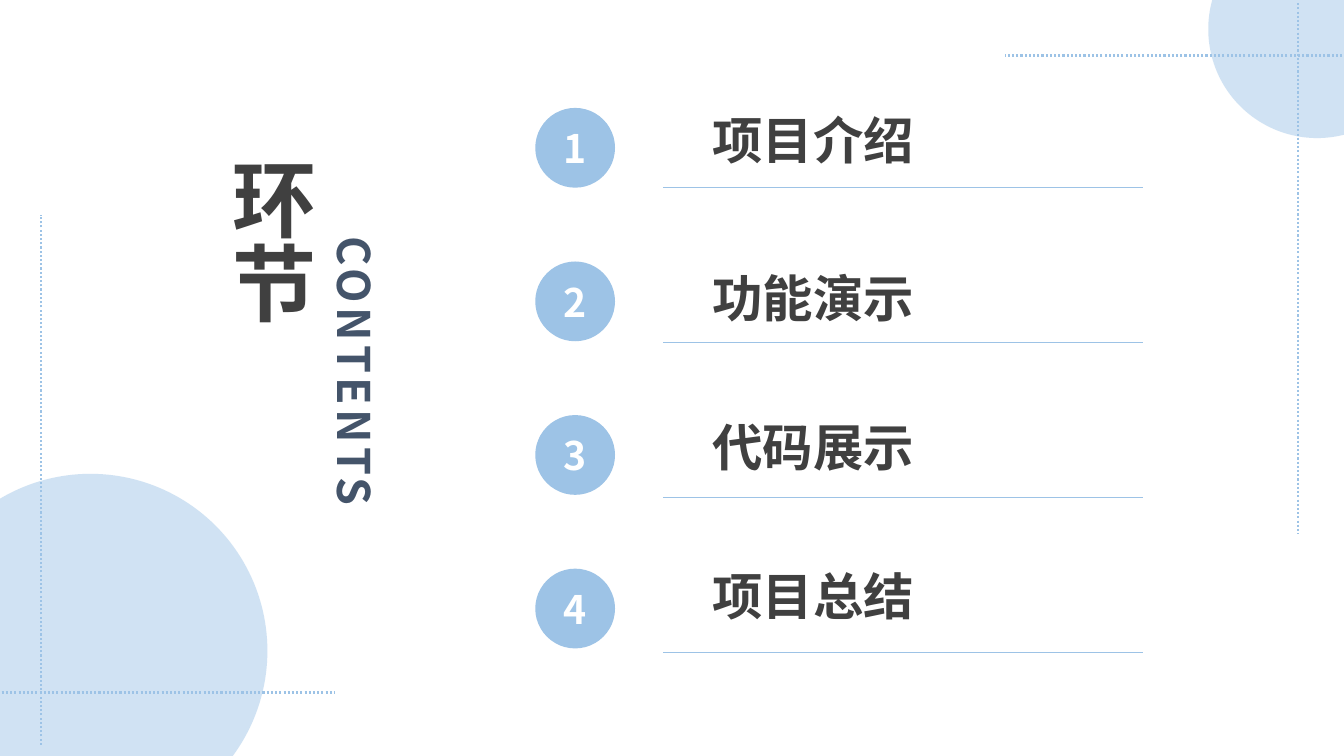
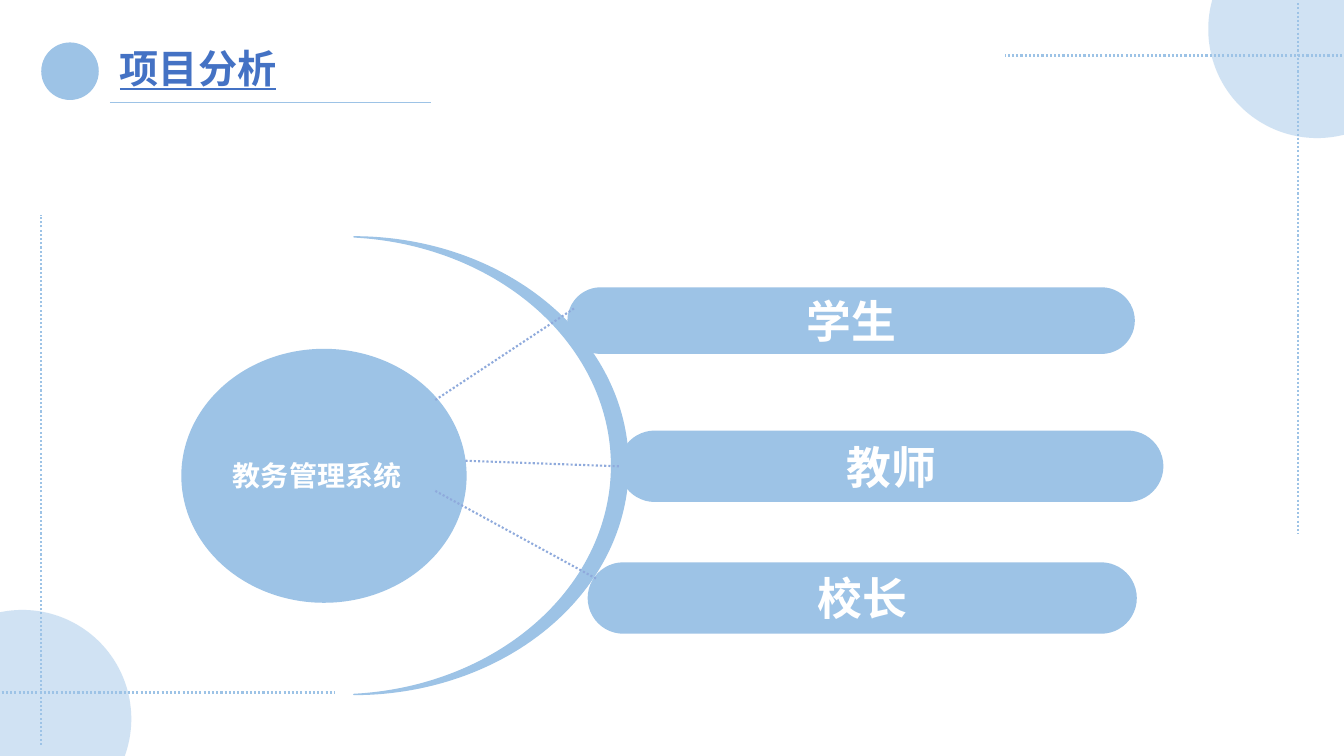
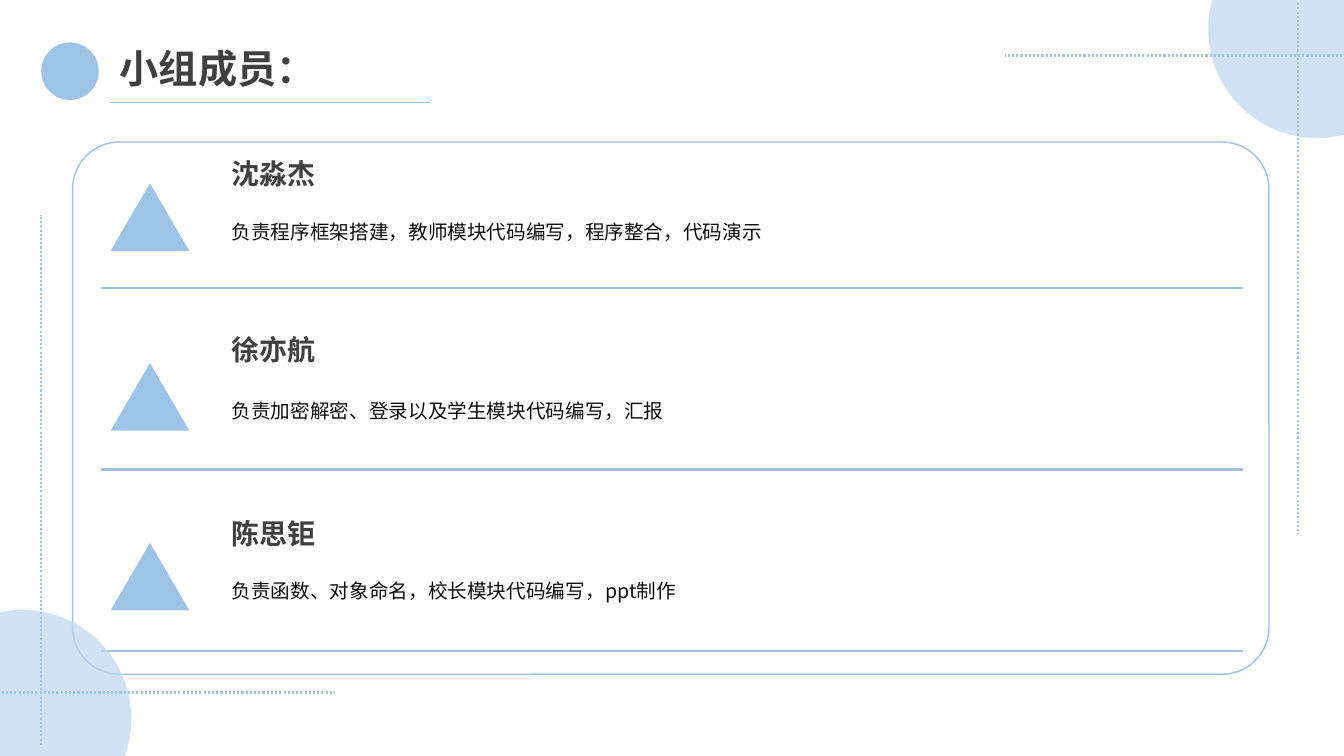
from lxml.etree import SubElement
from pptx import Presentation
from pptx.dml.color import RGBColor
from pptx.enum.dml import MSO_LINE
from pptx.enum.shapes import MSO_CONNECTOR, MSO_SHAPE
from pptx.enum.text import MSO_ANCHOR, MSO_AUTO_SIZE, PP_ALIGN
from pptx.oxml.ns import qn
from pptx.util import Cm, Pt

WIDTH, HEIGHT = 33.87, 19.05
FONT = "Noto Sans CJK SC"
COLORS = {
    "sky": "9DC3E6",
    "pale": "BDD7EE",
    "spoke": "8FAADC",
    "blue": "4472C4",
    "slate": "44546A",
    "dark": "404040",
    "ink": "0D0D0D",
    "white": "FFFFFF",
}

GROW = {"word_wrap": True, "auto_size": MSO_AUTO_SIZE.SHAPE_TO_FIT_TEXT}
MIDDLE = {"word_wrap": True, "vertical_anchor": MSO_ANCHOR.MIDDLE}
NOWRAP = {"word_wrap": False, "vertical_anchor": MSO_ANCHOR.MIDDLE}
CENTER = {"alignment": PP_ALIGN.CENTER}
JUSTIFY = {"alignment": PP_ALIGN.JUSTIFY}


def style(size, color, frame, para, **font):
    return {"color": color, "frame": frame, "para": para,
            "font": {"name": FONT, "size": Pt(size), "bold": True, **font}}


STYLES = {
    "cover": style(60, "dark", GROW,
                   {**JUSTIFY, "line_spacing": 0.9, "space_before": Pt(10)}),
    "side": style(32, "slate", NOWRAP, CENTER),
    "number": style(28, "white", MIDDLE, CENTER),
    "item": style(36, "dark", GROW, JUSTIFY),
    "heading": style(28, "dark", GROW, JUSTIFY),
    "marked": style(28, "blue", GROW, JUSTIFY, underline=True),
    "system": style(20, "white", MIDDLE, JUSTIFY),
    "role": style(32, "white", NOWRAP, CENTER),
    "name": style(20, "dark", GROW, {}),
    "duty": style(14, "ink", GROW, {"line_spacing": 1.5}, bold=False),
}


def rgb(color):
    return RGBColor.from_string(COLORS[color])


def apply(target, values):
    for key, value in values.items():
        setattr(target, key, value)


def write(shape, text, kind):
    look = STYLES[kind]
    frame = shape.text_frame
    para = frame.paragraphs[0]
    run = para.add_run()
    run.text = text
    apply(frame, look["frame"])
    apply(para, look["para"])
    apply(run.font, look["font"])
    run.font.color.rgb = rgb(look["color"])
    props = run._r.get_or_add_rPr()
    SubElement(props, qn("a:ea")).set("typeface", FONT)
    return props


def label(slide, box, text, kind):
    shape = slide.shapes.add_textbox(*map(Cm, box))
    return shape, write(shape, text, kind)


def column(slide, box, text, kind, gap=0):
    """Text that runs from top to bottom, with extra letter gap in points."""
    shape, props = label(slide, box, text, kind)
    shape.text_frame._txBody.bodyPr.set("vert", "eaVert")
    if gap:
        props.set("spc", str(gap * 100))


def block(slide, preset, box, fill="sky", line=None, adjust=None):
    shape = slide.shapes.add_shape(preset, *map(Cm, box))
    shape.shadow.inherit = False
    if fill:
        shape.fill.solid()
        shape.fill.fore_color.rgb = rgb(fill)
    else:
        shape.fill.background()
    if line:
        shape.line.color.rgb = rgb(line)
        shape.line.width = Pt(1)
    else:
        shape.line.fill.background()
    if adjust is not None:
        shape.adjustments[0] = adjust
    return shape


def rule(slide, start, end, width=1.5, color="sky", dash=None):
    line = slide.shapes.add_connector(
        MSO_CONNECTOR.STRAIGHT, *map(Cm, (*start, *end)))
    line.line.color.rgb = rgb(color)
    apply(line.line, {"width": Pt(width), "dash_style": dash})
    SubElement(line._element.spPr, qn("a:effectLst"))
    return line


def corner(slide, x, y, sign, size):
    """Pale disc and dotted cross at (x, y); sign 1 is top right, -1 bottom left."""
    left = x + 3.22 - size if sign > 0 else x - 3.22
    top = y - 3.41 if sign > 0 else y + 3.41 - size
    disc = block(slide, MSO_SHAPE.OVAL, (left, top, size, size), "pale")
    color = disc._element.spPr.find(qn("a:solidFill"))[0]
    SubElement(color, qn("a:alpha")).set("val", "70000")
    arms = [((x + sign * 1.21, y), (x - sign * 7.4, y)),
            ((x, y - sign * 1.32), (x, y + sign * 12.04))]
    for start, end in arms:
        rule(slide, start, end, dash=MSO_LINE.ROUND_DOT)


def corners(slide, low=5.49):
    corner(slide, 32.72, 1.4, 1, 5.49)
    corner(slide, 1.04, 17.45, -1, low)


def heading(slide, box, text, kind="heading"):
    x, y, w, h = box
    block(slide, MSO_SHAPE.OVAL, (x, y + 0.08, 1.45, 1.45))
    rule(slide, (x + 1.73, y + h), (x + w, y + h), 0.5)
    label(slide, (x + 1.73, y, w - 1.73, 1.45), text, kind)


def agenda(slide, box, items):
    """Numbered list; each item brings its own drop of the text."""
    x, y, w, h = box
    step = h / len(items)
    for i, (text, drop) in enumerate(items):
        top = y + i * step
        end = top + 2.01
        disc = block(slide, MSO_SHAPE.OVAL, (x, y + i * 3.87, 2.01, 2.01))
        write(disc, str(i + 1), "number")
        rule(slide, (x + 3.22, end), (x + w, end), 0.5)
        label(slide, (x + 4.21, top + drop, 10.11, 1.8), text, "item")


def roles(slide, box):
    """System disc, arc, and a dotted spoke to each role."""
    x, y, w, h = box
    hub = block(slide, MSO_SHAPE.OVAL, (x, y + 2.82, 7.19, 6.4))
    write(hub, "教务管理系统", "system")
    arc = block(slide, MSO_SHAPE.MOON, (x + 4.35, y, 6.91, h), line="sky", adjust=0.06)
    arc._element.spPr.xfrm.set("flipH", "1")
    pills = []
    for text, left, top, wide, high in [
        ("学生", 9.73, 1.27, 14.3, 1.68),
        ("教师", 11.03, 4.88, 13.72, 1.8),
        ("校长", 10.24, 8.2, 13.84, 1.8),
    ]:
        pill = block(slide, MSO_SHAPE.ROUNDED_RECTANGLE,
                     (x + left, y + top, wide, high), adjust=0.5)
        write(pill, text, "role")
        pills.append(pill)
    spokes = [rule(slide, (x + a, y + b), (x + c, y + d), color="spoke",
                   dash=MSO_LINE.ROUND_DOT)
              for a, b, c, d in [(6.4, 4.11, 9.93, 1.78),
                                 (7.16, 5.64, 11.03, 5.78),
                                 (6.4, 6.4, 10.49, 8.63)]]
    spokes[1].end_connect(pills[1], 1)


def team(slide, box, people):
    """Panel with one row a person; each brings the drop of the name."""
    x, y, w, h = box
    block(slide, MSO_SHAPE.ROUNDED_RECTANGLE, box, None, "sky", 0.088)
    for i, (name, drop, duty) in enumerate(people):
        end = y + 3.68 + i * 4.57
        top = y + i * 4.53
        rule(slide, (x + 0.71, end), (x + w - 0.66, end))
        block(slide, MSO_SHAPE.ISOSCELES_TRIANGLE, (x + 0.96, top + 1.04, 1.98, 1.7))
        label(slide, (x + 3.76, top + drop, 5.89, 1.12), name, "name")
        label(slide, (x + 3.76, top + 1.53, 25.65, 1.14), duty, "duty")


def main():
    deck = Presentation()
    apply(deck, {"slide_width": Cm(WIDTH), "slide_height": Cm(HEIGHT)})
    first, second, third = [
        deck.slides.add_slide(deck.slide_layouts[6]) for _ in range(3)]
    bar = (1.04, 0.99, 9.81, 1.6)

    column(first, (7.95, 5.72, 2.01, 7.77), "CONTENTS", "side", 3)
    column(first, (5.05, 3.71, 2.9, 5.89), "环节", "cover")
    agenda(first, (13.49, 2.72, 15.31, 15.6), [
        ("项目介绍", -0.1), ("功能演示", -0.02),
        ("代码展示", -0.16), ("项目总结", -0.3)])
    corners(first, 8.92)

    roles(second, (4.57, 5.97, 24.75, 11.53))
    corners(second)
    heading(second, bar, "项目分析", "marked")

    team(third, (1.83, 3.58, 30.15, 13.41), [
        ("沈淼杰", 0.23, "负责程序框架搭建，教师模块代码编写，程序整合，代码演示"),
        ("徐亦航", 0.15, "负责加密解密、登录以及学生模块代码编写，汇报"),
        ("陈思钜", 0.24, "负责函数、对象命名，校长模块代码编写，ppt制作")])
    corners(third)
    heading(third, bar, "小组成员：")

    deck.save("out.pptx")


if __name__ == "__main__":
    main()
